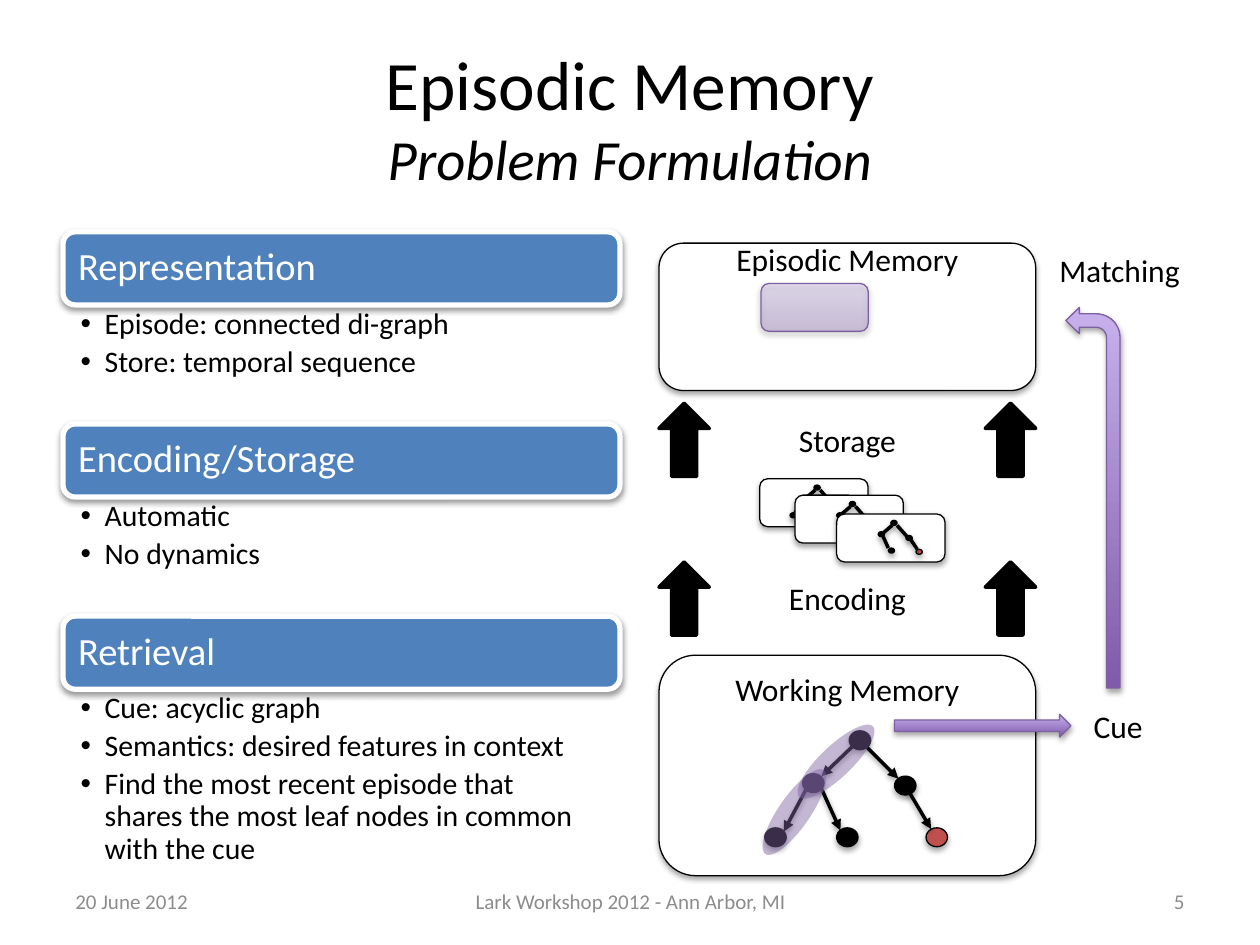
from dataclasses import dataclass

from lxml import etree
from pptx import Presentation
from pptx.dml.color import RGBColor
from pptx.enum.shapes import MSO_CONNECTOR, MSO_SHAPE
from pptx.enum.text import MSO_ANCHOR, PP_ALIGN
from pptx.oxml.ns import qn
from pptx.util import Inches, Pt

ROUNDED, ELLIPSE = MSO_SHAPE.ROUNDED_RECTANGLE, MSO_SHAPE.OVAL
UP, RIGHT_ARROW, BENT = MSO_SHAPE.UP_ARROW, MSO_SHAPE.RIGHT_ARROW, MSO_SHAPE.BENT_ARROW
STRAIGHT = MSO_CONNECTOR.STRAIGHT
LEFT, CENTER, RIGHT = PP_ALIGN.LEFT, PP_ALIGN.CENTER, PP_ALIGN.RIGHT
TOP, MIDDLE = MSO_ANCHOR.TOP, MSO_ANCHOR.MIDDLE


@dataclass(frozen=True)
class Theme:
    font: str = "Calibri"
    black: str = "000000"
    white: str = "FFFFFF"
    gray: str = "8C8C8C"
    blue: str = "4F81BD"
    red: str = "C0504D"
    purple: str = "8064A2"
    purple_line: str = "7D60A0"
    gradient: tuple = ("7F5BAB", "C8B0ED")
    title: float = 39.6
    subtitle: float = 32.4
    heading: float = 22
    label: float = 18
    bullet: float = 17
    footer: float = 12


THEME = Theme()
LABEL_LINE = 0.305  # height of one label line, inches

SECTIONS = [
    ("Representation", 0.95, ["Episode: connected di-graph", "Store: temporal sequence"]),
    ("Encoding/Storage", 0.95, ["Automatic", "No dynamics"]),
    ("Retrieval", 1.47, [
        "Cue: acyclic graph", "Semantics: desired features in context",
        "Find the most recent episode that shares the most leaf nodes in common with the cue"]),
]

# Episode cards: corner, then nodes and edges beyond the shared ones
CARD_NODES = [(0.43, 0.05), (0.33, 0.14), (0.55, 0.17), (0.41, 0.27)]
CARD_EDGES = [(0.44, 0.09, 0.37, 0.15), (0.37, 0.18, 0.41, 0.27), (0.48, 0.09, 0.56, 0.18)]
CARDS = [
    (6.03, 3.8, [(0.24, 0.27, THEME.black)], [(0.34, 0.18, 0.28, 0.27)]),
    (6.31, 3.93, [], []),
    (6.64, 4.08, [(0.63, 0.28, THEME.red)], [(0.58, 0.19, 0.64, 0.28)]),
]

# Working memory graph
GRAPH_NODES = [(6.74, 5.8, THEME.black), (6.37, 6.14, THEME.black), (6.64, 6.57, THEME.black),
               (7.1, 6.16, THEME.black), (6.07, 6.57, THEME.black), (7.35, 6.57, THEME.red)]
GRAPH_EDGES = [(6.76, 5.93, 6.52, 6.16), (6.52, 6.26, 6.67, 6.59), (6.88, 5.93, 7.13, 6.18),
               (6.4, 6.26, 6.22, 6.6), (7.2, 6.26, 7.39, 6.58)]


def child(parent, tag, **attributes):
    return etree.SubElement(parent, qn(tag), attributes)


def color_node(parent, color, opacity=100):
    node = child(parent, "a:srgbClr", val=color)
    if opacity < 100:
        child(node, "a:alpha", val=str(opacity * 1000))


def add_shadow(item, opacity=35, distance=23000):
    effects = child(item._element.spPr, "a:effectLst")
    shadow = child(effects, "a:outerShdw", blurRad="40000", dist=str(distance),
                   dir="5400000", rotWithShape="0")
    color_node(shadow, THEME.black, opacity)


def fill_gradient(shape, opacity):
    gradient = etree.Element(qn("a:gradFill"), rotWithShape="1")
    stops = child(gradient, "a:gsLst")
    for position, color in zip(("0", "100000"), THEME.gradient):
        color_node(child(stops, "a:gs", pos=position), color, opacity)
    child(gradient, "a:lin", ang="16200000", scaled="0")
    shape._element.spPr.find(qn("a:prstGeom")).addnext(gradient)


def add_shape(page, kind, at, fill=None, line=THEME.black, width=0.75, opacity=100,
              shadow=35, distance=23000, turn=0):
    """Preset shape; without a fill color it takes the purple gradient."""
    shape = page.shapes.add_shape(kind, *map(Inches, at))
    shape.rotation = turn
    if line:
        shape.line.color.rgb = RGBColor.from_string(line)
        shape.line.width = Pt(width)
    else:
        shape.line.fill.background()
    if fill:
        shape.fill.solid()
        shape.fill.fore_color.rgb = RGBColor.from_string(fill)
        if opacity < 100:
            color = shape._element.spPr.find(qn("a:solidFill"))[0]
            child(color, "a:alpha", val=str(opacity * 1000))
    else:
        fill_gradient(shape, opacity)
    if shadow:
        add_shadow(shape, shadow, distance)
    else:
        shape.shadow.inherit = False
    return shape


def add_edge(page, ends, arrow=False):
    edge = page.shapes.add_connector(STRAIGHT, *map(Inches, ends))
    edge.line.color.rgb = RGBColor.from_string(THEME.black)
    edge.line.width = Pt(2)
    if arrow:
        child(edge.line._get_or_add_ln(), "a:tailEnd", type="triangle")
    add_shadow(edge, 38, 20000)


def write(para, text, size, color=THEME.black, italic=False):
    span = para.add_run()
    span.text = text
    span.font.name, span.font.size = THEME.font, Pt(size)
    span.font.color.rgb = RGBColor.from_string(color)
    if italic:
        span.font.italic = True


def set_frame(box, anchor=TOP, insets=(0.1, 0.05, 0.1, 0.05)):
    frame = box.text_frame
    frame.word_wrap = True
    frame.vertical_anchor = anchor
    (frame.margin_left, frame.margin_top,
     frame.margin_right, frame.margin_bottom) = map(Inches, insets)
    return frame


def add_text(page, at, text, size=THEME.label, color=THEME.black, align=CENTER, anchor=TOP,
             **frame_format):
    box = page.shapes.add_textbox(*map(Inches, at))
    para = set_frame(box, anchor, **frame_format).paragraphs[0]
    para.alignment = align
    write(para, text, size, color)
    return para


def add_bullets(page, at, lines):
    box = page.shapes.add_textbox(*map(Inches, at))
    frame = set_frame(box, insets=(0.14, 0.03, 0.17, 0.03))
    for number, line in enumerate(lines):
        para = frame.add_paragraph() if number else frame.paragraphs[0]
        para.line_spacing, para.space_after = 0.9, Pt(3.4)
        indent = Inches(0.19)
        properties = para._p.get_or_add_pPr()
        properties.set("marL", str(indent))
        properties.set("indent", str(-indent))
        child(properties, "a:buFont", typeface="Arial")
        child(properties, "a:buChar", char="•")
        write(para, line, THEME.bullet)


def add_section(page, top, heading, height, lines):
    add_shape(page, ROUNDED, (0.5, top, 4.42, 0.58), THEME.blue, THEME.white, 3,
              shadow=38, distance=20000)
    para = add_text(page, (0.53, top + 0.03, 4.36, 0.52), heading, THEME.heading, THEME.white,
                    LEFT, MIDDLE, insets=(0.09,) * 4)
    para.line_spacing = 0.9
    add_bullets(page, (0.5, top + 0.58, 4.42, height), lines)


def add_memory(page, at, text, lines_below):
    shape = add_shape(page, ROUNDED, at, THEME.white)
    frame = set_frame(shape, MIDDLE, (0.1, 0.05, 0.1, 0.05 + lines_below * LABEL_LINE))
    frame.paragraphs[0].alignment = CENTER
    write(frame.paragraphs[0], text, THEME.label)


def add_stage(page, top, text):
    for left in (5.23, 7.82):
        add_shape(page, UP, (left, top, 0.4, 0.58), THEME.black, width=2, shadow=0)
    add_text(page, (5.63, top + 0.09, 2.19, 0.4), text)


def add_card(page, left, top, nodes, edges):
    add_shape(page, ROUNDED, (left, top, 0.86, 0.38), THEME.white)
    for x, y, color in [(x, y, THEME.black) for x, y in CARD_NODES] + nodes:
        add_shape(page, ELLIPSE, (left + x, top + y, 0.05, 0.04), color)
    for x1, y1, x2, y2 in CARD_EDGES + edges:
        add_edge(page, (left + x1, top + y1, left + x2, top + y2))


def add_graph(page):
    for left, top, color in GRAPH_NODES:
        add_shape(page, ELLIPSE, (left, top, 0.17, 0.15), color)
    for ends in GRAPH_EDGES:
        add_edge(page, ends, arrow=True)
    # Highlight of the cue
    for left, top, turn in ((6.23, 5.92, 316.4), (5.9, 6.32, 304.7)):
        add_shape(page, ELLIPSE, (left, top, 0.81, 0.25), THEME.purple, None,
                  opacity=46, shadow=0, turn=turn)


def add_retrieval(page):
    bent = add_shape(page, BENT, (8.46, 2.44, 0.43, 3.02), line=THEME.purple_line)
    bent._element.spPr.find(qn("a:xfrm")).set("flipH", "1")
    for number, value in enumerate((0.25, 0.242, 0.25, 0.438)):
        bent.adjustments[number] = value
    add_shape(page, RIGHT_ARROW, (7.1, 5.67, 1.4, 0.18), line=THEME.purple_line)
    add_text(page, (8.27, 1.94, 1.23, 0.4), "Matching")
    add_text(page, (8.26, 5.56, 1.23, 0.4), "Cue")


def main():
    deck = Presentation()
    deck.slide_width, deck.slide_height = Inches(10), Inches(7.5)
    page = deck.slides.add_slide(deck.slide_layouts[6])

    # Title
    title = add_text(page, (0.5, 0.3, 9, 1.25), "Episodic Memory", THEME.title, anchor=MIDDLE)
    title.add_line_break()
    write(title, "Problem Formulation", THEME.subtitle, italic=True)

    # Left column
    for number, section in enumerate(SECTIONS):
        add_section(page, 1.84 + number * 1.525, *section)

    # Memory diagram
    add_memory(page, (5.23, 5.2, 2.99, 1.75), "Working Memory", 4)
    add_graph(page)
    add_memory(page, (5.23, 1.93, 2.99, 1.17), "Episodic Memory", 3)
    add_shape(page, ROUNDED, (6.04, 2.25, 0.85, 0.38), line=THEME.purple_line, opacity=30)
    add_stage(page, 4.46, "Encoding")
    add_stage(page, 3.2, "Storage")
    for card in CARDS:
        add_card(page, *card)
    add_retrieval(page)

    # Footer
    for left, width, text, align in ((0.5, 2.33, "20 June 2012", LEFT),
                                     (3.42, 3.17, "Lark Workshop 2012 - Ann Arbor, MI", CENTER),
                                     (7.17, 2.33, "5", RIGHT)):
        add_text(page, (left, 6.95, width, 0.4), text, THEME.footer, THEME.gray, align, MIDDLE)

    deck.save("out.pptx")


main()
